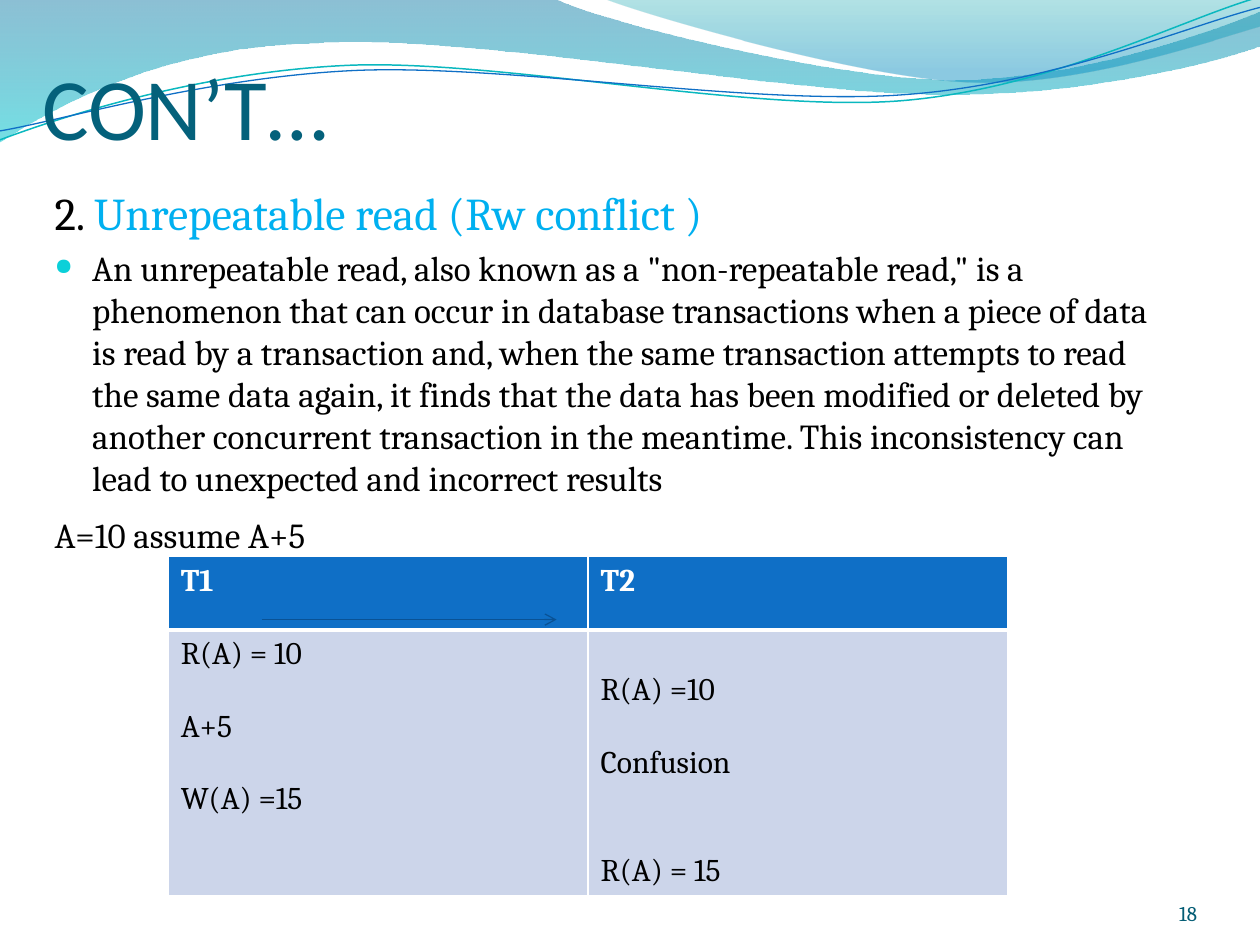
from lxml import etree
from pptx import Presentation
from pptx import util as u
from pptx.dml.color import RGBColor
from pptx.enum import shapes, text
from pptx.oxml import ns


def colour(code):
    return RGBColor.from_string(code)


def write(para, words, size=18, code="000000", font="Cambria", bold=False, before=0):
    para.space_before = u.Pt(before)
    span = para.add_run()
    span.text = words
    span.font.size = u.Pt(size)
    span.font.name = font
    span.font.bold = bold
    span.font.fill.solid()
    span.font.fill.fore_color.rgb = colour(code)


deck = Presentation()
deck.slide_width, deck.slide_height = u.Cm(25.4), u.Cm(19.05)
page = deck.slides.add_slide(deck.slide_layouts[5])

bands = [
    ((0, 0), [
        [(11.18, -0.03)],
        [(12.09, 0.43), (16.87, 1.6), (19.25, 1.6)],
        [(21.67, 1.6), (24.33, 0.66), (25.4, 0.23)],
        [(25.43, 0.91)],
        [(24.97, 1.12), (22.1, 1.93), (18.95, 1.9)],
        [(15.8, 1.9), (9.7, 0.71), (6.53, 0.86)],
        [(3.28, 0.91), (1.17, 2.11), (-0.03, 2.87)],
        [(0, 0)],
    ], [(0, "0074A1", 45), (1, "00C6CF", 55)], None),
    ((12.17, -0.03), [
        [(12.93, 0.28), (17.32, 1.57), (19.53, 1.65)],
        [(21.74, 1.75), (24.41, 0.81), (25.4, 0.53)],
        [(25.4, 0)],
        [(12.17, -0.03)],
    ], [(0, "00A1A9", 30), (0.8, "008BBF", 45)], None),
    ((-0.05, 2.22), [
        [(1.19, 1.82), (4.02, 1.04), (7.05, 1.05)],
        [(10.05, 1.07), (15.02, 2.37), (18.08, 2.29)],
        [(21.13, 2.2), (23.87, 0.91), (25.41, 0.55)],
    ], None, ("0AB8BF", 0.85)),
    ((-0.04, 2.04), [
        [(1.16, 1.9), (4.18, 1.15), (7.2, 1.16)],
        [(10.25, 1.18), (15.13, 2.25), (18.18, 2.17)],
        [(21.21, 2.1), (23.94, 1.06), (25.45, 0.75)],
    ], None, ("0F6FC6", 0.75)),
]
for start, segments, stops, stroke in bands:
    outline = page.shapes.build_freeform(u.Cm(start[0]), u.Cm(start[1]))
    for segment in segments:
        outline.add_line_segments([(u.Cm(x), u.Cm(y)) for x, y in segment], close=False)
    if stops:
        outline.add_line_segments([], close=True)
    wave = outline.convert_to_shape()
    wave.shadow.inherit = False
    corners = iter(list(wave._element.iter(ns.qn("a:lnTo"))))
    for segment in segments:
        nodes = [next(corners) for _ in segment]
        if len(nodes) == 3:
            curve = etree.Element(ns.qn("a:cubicBezTo"))
            nodes[0].addprevious(curve)
            for node in nodes:
                curve.append(node[0])
                node.getparent().remove(node)
    if stops:
        wave.line.fill.background()
        wave.fill.gradient()
        wave.fill.gradient_angle = 270
        for stop, (position, code, _) in zip(wave.fill.gradient_stops, stops):
            stop.position = position
            stop.color.rgb = colour(code)
        for tint, (_, _, opacity) in zip(wave._element.iter(ns.qn("a:srgbClr")), stops):
            etree.SubElement(tint, ns.qn("a:alpha"), val=str(opacity * 1000))
    else:
        wave.rotation = 357.3
        wave.fill.background()
        wave.line.color.rgb = colour(stroke[0])
        wave.line.width = u.Pt(stroke[1])

title = page.shapes.title
page.shapes._spTree.append(title._element)
title.left, title.top, title.width, title.height = u.Cm(0.85), u.Cm(0.64), u.Cm(23.7), u.Cm(2.54)
frame = title.text_frame
frame.margin_left = frame.margin_right = frame.margin_bottom = 0
frame.vertical_anchor = text.MSO_ANCHOR.BOTTOM
frame.paragraphs[0].alignment = text.PP_ALIGN.LEFT
write(frame.paragraphs[0], "CON’T…", size=50, code="04617B", font="Calibri")

body = page.shapes.add_textbox(u.Cm(0.85), u.Cm(3.61), u.Cm(22.86), u.Cm(13.97)).text_frame
body.word_wrap = True
heading = body.paragraphs[0]
write(heading, "2. ", size=26, before=5)
write(heading, "Unrepeatable read (Rw conflict )", size=26, code="00B0F0", before=5)
definition = body.add_paragraph()
write(definition, 'An unrepeatable read, also known as a "non-repeatable read," is a phenomenon '
      "that can occur in database transactions when a piece of data is read by a transaction "
      "and, when the same transaction attempts to read the same data again, it finds that the "
      "data has been modified or deleted by another concurrent transaction in the meantime. "
      "This inconsistency can lead to unexpected and incorrect results", size=20, before=4)
layout = definition._p.get_or_add_pPr()
layout.set("marL", str(u.Cm(0.76)))
layout.set("indent", str(-u.Cm(0.76)))
bullet = etree.SubElement(layout, ns.qn("a:buClr"))
etree.SubElement(bullet, ns.qn("a:srgbClr"), val="0BD0D9")
etree.SubElement(layout, ns.qn("a:buSzPct"), val="66000")
etree.SubElement(layout, ns.qn("a:buChar"), char="●")
write(body.add_paragraph(), "A=10 assume A+5", size=20, before=8.5)

number = page.shapes.add_textbox(u.Cm(22.02), u.Cm(17.65), u.Cm(2.11), u.Cm(1.02)).text_frame
number.margin_left = number.margin_right = number.margin_top = number.margin_bottom = 0
number.word_wrap = True
number.vertical_anchor = text.MSO_ANCHOR.BOTTOM
number.paragraphs[0].alignment = text.PP_ALIGN.RIGHT
write(number.paragraphs[0], "18", size=12, code="045D75")

schedule = page.shapes.add_table(2, 2, u.Cm(3.39), u.Cm(11.22), u.Cm(16.93), u.Cm(6.84)).table
schedule.rows[0].height, schedule.rows[1].height = u.Cm(1.48), u.Cm(5.36)
line_height = 20.7
transactions = [
    ("T1", 0.13, [("R(A) = 10", 0), ("A+5", 1), ("W(A) =15", 1)]),
    ("T2", 0.85, [("R(A) =10", 0), ("Confusion", 1), ("R(A) = 15", 2)]),
]
for column, (name, top, operations) in enumerate(transactions):
    header, cell = schedule.cell(0, column), schedule.cell(1, column)
    for box, code in ((header, "0F6FC6"), (cell, "CCD5EA")):
        box.fill.solid()
        box.fill.fore_color.rgb = colour(code)
    rule = etree.Element(ns.qn("a:lnB"), w=str(u.Pt(3)))
    paint = etree.SubElement(rule, ns.qn("a:solidFill"))
    etree.SubElement(paint, ns.qn("a:srgbClr"), val="FFFFFF")
    header._tc.get_or_add_tcPr().insert(0, rule)
    write(header.text_frame.paragraphs[0], name, code="FFFFFF", bold=True)
    cell.margin_top, cell.margin_bottom = u.Cm(top), u.Cm(0.03)
    for row, (operation, gap) in enumerate(operations):
        para = cell.text_frame.add_paragraph() if row else cell.text_frame.paragraphs[0]
        write(para, operation, before=gap * line_height)

arrow = page.shapes.add_connector(shapes.MSO_CONNECTOR.STRAIGHT,
                                  u.Cm(5.28), u.Cm(12.49), u.Cm(11.22), u.Cm(12.49))
arrow.line.color.rgb = colour("095295")
arrow.line.width = u.Pt(0.75)
etree.SubElement(arrow.line._get_or_add_ln(), ns.qn("a:tailEnd"), type="arrow")
etree.SubElement(arrow._element.spPr, ns.qn("a:effectLst"))

deck.save("out.pptx")
